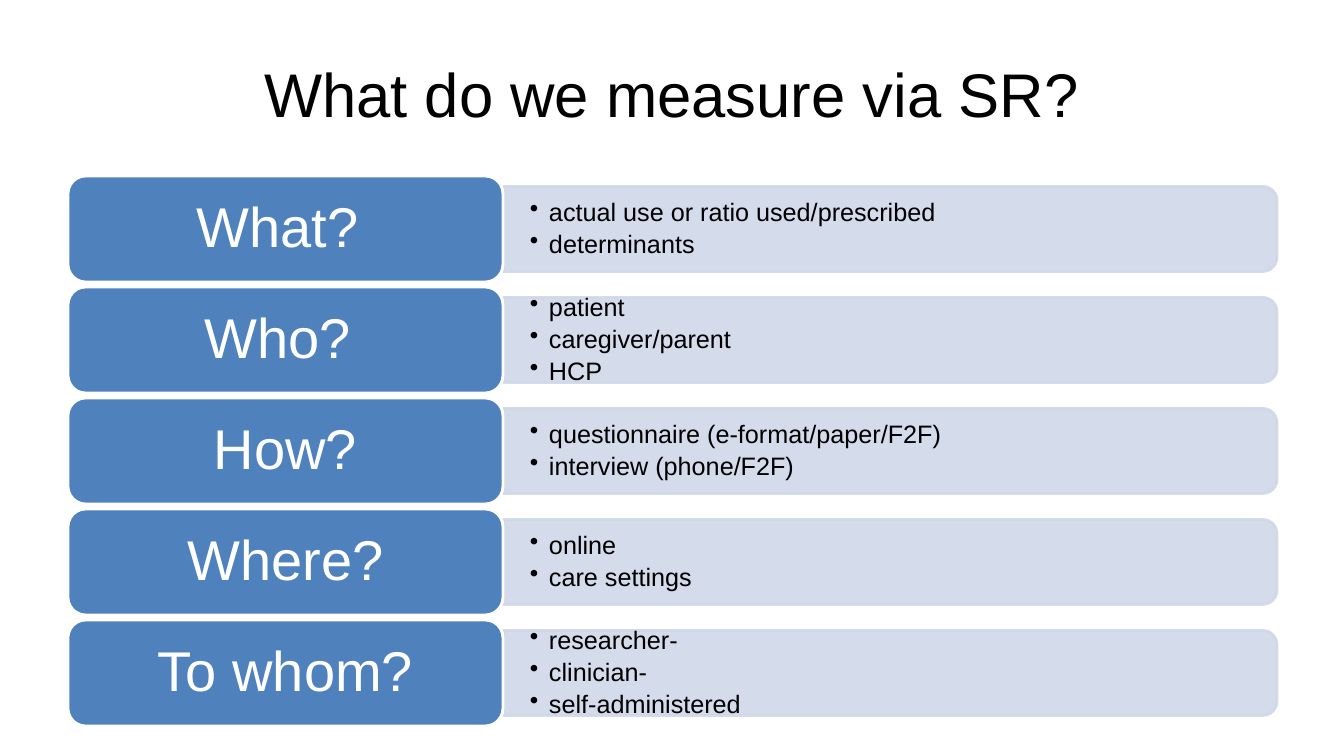
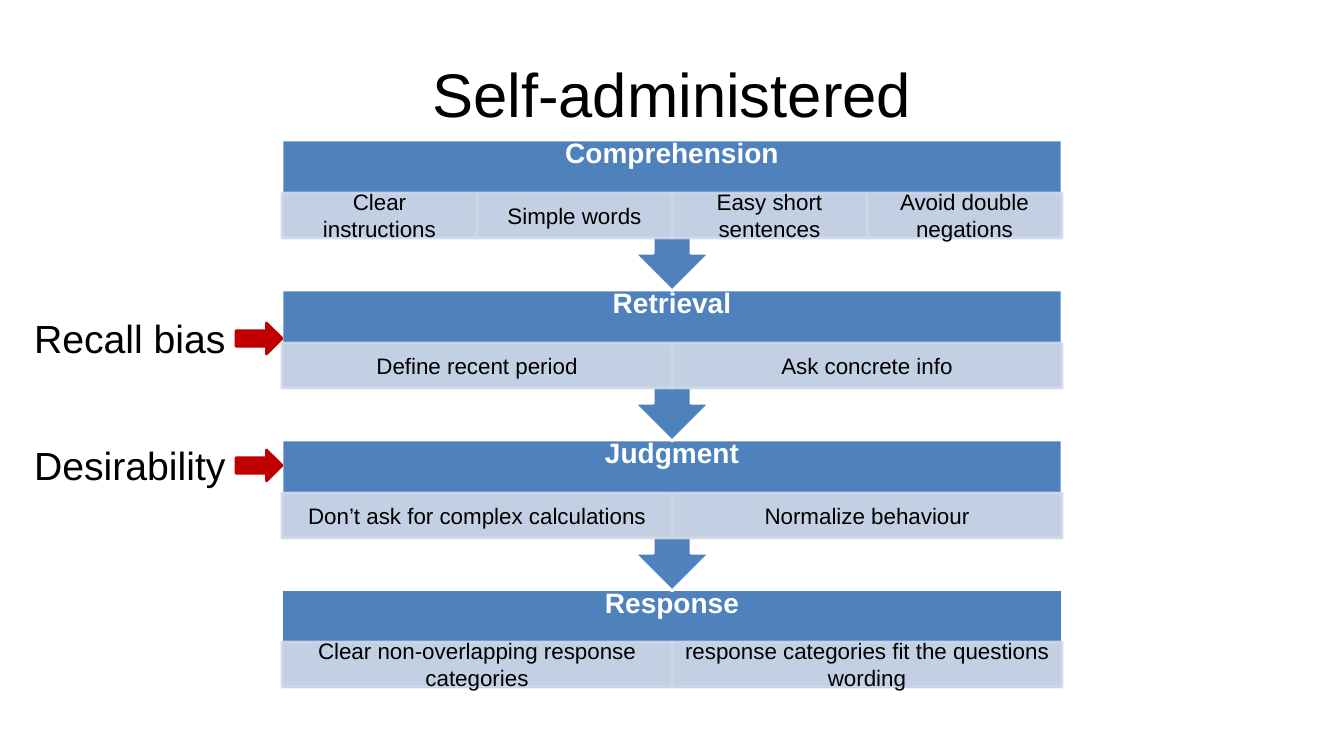
from lxml.etree import SubElement
from pptx import Presentation
from pptx.dml.color import RGBColor
from pptx.enum.shapes import MSO_SHAPE
from pptx.enum.text import MSO_ANCHOR, PP_ALIGN
from pptx.oxml.ns import qn
from pptx.util import Pt

# Shared settings: one picture pixel in EMU, colours, font
PX = 914400 / 100.8
COLORS = {"blue": "4F81BD", "pale": "D0D8E8", "red": "C00000",
          "white": "FFFFFF", "black": "000000"}
FONT = "Arial"


def add_box(slide, kind, x, y, w, h, fill=None, line=None, opacity=None):
    """Add a preset shape, or a text box when kind is None."""
    place = [round(v * PX) for v in (x, y, w, h)]
    if kind is None:
        return slide.shapes.add_textbox(*place)
    sp = slide.shapes.add_shape(kind, *place)
    sp.shadow.inherit = False
    sp.fill.solid()
    sp.fill.fore_color.rgb = RGBColor.from_string(COLORS[fill])
    sp.line.color.rgb = RGBColor.from_string(COLORS[line])
    sp.line.width = Pt(2)
    if opacity:
        for color in sp._element.spPr.iter(qn("a:srgbClr")):
            SubElement(color, qn("a:alpha"), val=str(opacity * 1000))
    return sp


def write(sp, lines, size, color="black", align=PP_ALIGN.CENTER, inset=(10, 5),
          bold=False, spacing=None, after=None, bullet=None):
    """Fill a shape with paragraphs, anchored in the middle."""
    tf = sp.text_frame
    tf.word_wrap = True
    tf.vertical_anchor = MSO_ANCHOR.MIDDLE
    tf.margin_left = tf.margin_right = round(inset[0] * PX)
    tf.margin_top = tf.margin_bottom = round(inset[1] * PX)
    for i, line in enumerate(lines):
        p = tf.paragraphs[0] if i == 0 else tf.add_paragraph()
        p.text = line
        p.alignment = align
        if spacing:
            p.line_spacing = spacing
        if after:
            p.space_after = Pt(after)
        if bullet:
            pPr = p._p.get_or_add_pPr()
            indent = round(19 * PX)
            pPr.set("marL", str(indent))
            pPr.set("indent", str(-indent))
            SubElement(pPr, qn("a:buChar"), char=bullet)
        p.font.name = FONT
        p.font.size = Pt(size)
        p.font.bold = bold
        p.font.color.rgb = RGBColor.from_string(COLORS[color])


prs = Presentation()
prs.slide_width = round(1344 * PX)
prs.slide_height = round(756 * PX)

# Slides with their titles
slides = []
for title in ("What do we measure via SR?", "Self-administered"):
    s = prs.slides.add_slide(prs.slide_layouts[6])
    write(add_box(s, None, 67, 30, 1210, 126), [title], 44)
    slides.append(s)
measure_slide, steps_slide = slides

# Slide 1: question blocks with answer bars
QUESTIONS = [
    ("What? ", ["actual use or ratio used/prescribed", "determinants"]),
    ("Who? ", ["patient", "caregiver/parent", "HCP"]),
    ("How?", ["questionnaire (e-format/paper/F2F)", "interview (phone/F2F)"]),
    ("Where?", ["online", "care settings"]),
    ("To whom?", ["researcher-", "clinician-", "self-administered"]),
]
BLOCK_X, BLOCK_W, BLOCK_H, BLOCK_PITCH = 68, 435, 106, 111
BAR_X, BAR_W, BAR_H = BLOCK_X + BLOCK_W, 774, 85
for i, (question, answers) in enumerate(QUESTIONS):
    top = 176 + i * BLOCK_PITCH
    middle = top + BLOCK_H / 2
    # The bar is a tall shape turned so that its round corners face right
    bar = add_box(measure_slide, MSO_SHAPE.ROUND_2_SAME_RECTANGLE,
                  BAR_X + (BAR_W - BAR_H) / 2, middle - BAR_W / 2, BAR_H, BAR_W,
                  "pale", "pale", 90)
    bar.rotation = 90
    write(add_box(measure_slide, None, BAR_X, middle - 38, 770, 76), answers, 18,
          align=PP_ALIGN.LEFT, inset=(27, 14), spacing=0.9, after=3.5, bullet="•")
    block = add_box(measure_slide, MSO_SHAPE.ROUNDED_RECTANGLE,
                    BLOCK_X, top, BLOCK_W, BLOCK_H, "blue", "white")
    write(block, [question], 40, "white", inset=(17, 8), spacing=0.9)

# Slide 2: steps from top to bottom, drawn from the last one up
STEPS = [
    ("Comprehension", ["Clear instructions", "Simple words",
                       "Easy short sentences", "Avoid double negations"]),
    ("Retrieval", ["Define recent period", "Ask concrete info"]),
    ("Judgment", ["Don’t ask for complex calculations", "Normalize behaviour"]),
    ("Response", ["Clear non-overlapping response categories",
                  "response categories fit the questions wording"]),
]
STEP_X, STEP_W, STEP_PITCH = 282, 780, 150
for i, (step, tips) in reversed(list(enumerate(STEPS))):
    top = 140 + i * STEP_PITCH
    if i == len(STEPS) - 1:
        add_box(steps_slide, MSO_SHAPE.RECTANGLE, STEP_X, top, STEP_W, 99,
                "blue", "white")
        tip_top = top + 52
    else:
        callout = add_box(steps_slide, MSO_SHAPE.UP_ARROW_CALLOUT,
                          STEP_X, top, STEP_W, 151, "blue", "white")
        callout.rotation = 180
        tip_top = top + 53
    write(add_box(steps_slide, None, STEP_X, top - 4, STEP_W, 32), [step], 20,
          "white", inset=(16, 0), bold=True)
    tip_w = STEP_W / len(tips)
    for j, tip in enumerate(tips):
        cell = add_box(steps_slide, MSO_SHAPE.RECTANGLE, STEP_X + j * tip_w, tip_top,
                       tip_w, 45, "pale", "pale", 90)
        write(cell, [tip], 16, inset=(12, 2))

# Biases with red arrows pointing at their steps
for bias, top in (("Recall bias", 323), ("Desirability", 450)):
    write(add_box(steps_slide, None, 24, top - 12, 261, 53), [bias], 28,
          align=PP_ALIGN.LEFT)
    add_box(steps_slide, MSO_SHAPE.RIGHT_ARROW, 236, top, 46, 31, "red", "red")

prs.save("out.pptx")
